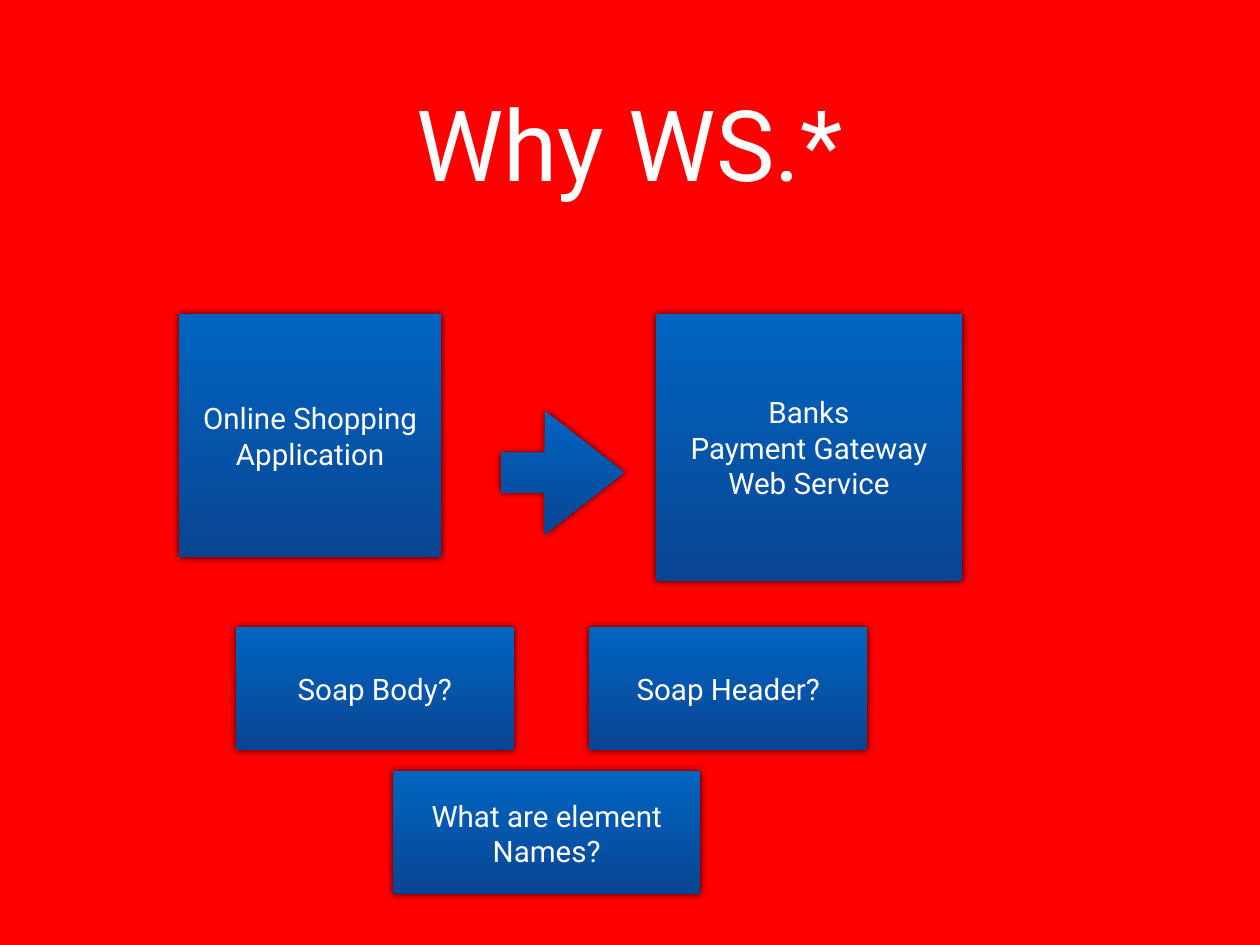
"""Build the slide "Why WS.*": a shop calling a payment service, with open questions."""
from dataclasses import dataclass

from lxml import etree
from pptx import Presentation
from pptx.dml.color import RGBColor
from pptx.enum.shapes import MSO_SHAPE
from pptx.enum.text import MSO_ANCHOR, PP_ALIGN
from pptx.oxml.ns import qn
from pptx.shapes.autoshape import Shape
from pptx.slide import Slide
from pptx.util import Inches, Pt

RECTANGLE = MSO_SHAPE.RECTANGLE
RIGHT_ARROW = MSO_SHAPE.RIGHT_ARROW
MIDDLE = MSO_ANCHOR.MIDDLE
CENTER = PP_ALIGN.CENTER

RED = RGBColor(0xFF, 0x00, 0x00)
WHITE = RGBColor(0xFF, 0xFF, 0xFF)
BLACK = RGBColor(0x00, 0x00, 0x00)
LIGHT_BLUE = RGBColor(0x00, 0x65, 0xC1)
DARK_BLUE = RGBColor(0x09, 0x45, 0x93)

FONT = "Roboto"
TITLE_SIZE = 80
BOX_SIZE = 24
INSET = 0.06
SHORT = 1.39
QUESTION_TOP = 7.08
QUESTION_WIDTH = 3.14
WIDE = 3.46


@dataclass(frozen=True)
class Box:
    """A labelled rectangle, measured in inches."""

    left: float
    top: float
    width: float
    height: float
    lines: tuple[str, ...]


BOXES = (
    Box(2.02, 3.55, 2.96, 2.74, ("Online Shopping Application",)),
    Box(7.4, 3.54, WIDE, 3.02, ("Banks", "Payment Gateway", "Web Service")),
    Box(2.66, QUESTION_TOP, QUESTION_WIDTH, SHORT, ("Soap Body?",)),
    Box(6.65, QUESTION_TOP, QUESTION_WIDTH, SHORT, ("Soap Header?",)),
    Box(4.44, 8.71, WIDE, SHORT, ("What are element Names?",)),
)
TITLE = Box(1.04, 0.44, 12.14, 2.32, ("Why WS.*",))
ARROW = Box(5.65, 4.64, SHORT, SHORT, ())


def bounds(box: Box) -> tuple[Inches, Inches, Inches, Inches]:
    """Return the position and size of a box as lengths."""
    return Inches(box.left), Inches(box.top), Inches(box.width), Inches(box.height)


def write_lines(shape: Shape, lines: tuple[str, ...], size: int) -> None:
    """Write centred white paragraphs into a shape."""
    frame = shape.text_frame
    frame.word_wrap = True
    frame.vertical_anchor = MIDDLE
    frame.margin_left = frame.margin_right = Inches(INSET)
    frame.margin_top = frame.margin_bottom = Inches(INSET)
    frame.text = "\n".join(lines)
    for paragraph in frame.paragraphs:
        paragraph.alignment = CENTER
        paragraph.font.name = FONT
        paragraph.font.size = Pt(size)
        paragraph.font.color.rgb = WHITE


def add_glow_shadow(shape: Shape) -> None:
    """Give a shape a soft black shadow on all sides."""
    shape.shadow.inherit = False
    effects = shape.element.spPr.find(qn("a:effectLst"))
    shadow = etree.SubElement(
        effects, qn("a:outerShdw"), blurRad=str(Pt(6)), dist="0",
        dir=str(315 * 60000), rotWithShape="0",
    )
    color = etree.SubElement(shadow, qn("a:srgbClr"), val=str(BLACK))
    etree.SubElement(color, qn("a:alpha"), val="80000")


def add_blue_shape(slide: Slide, kind: MSO_SHAPE, box: Box) -> Shape:
    """Add a preset shape with the blue gradient and shadow."""
    shape = slide.shapes.add_shape(kind, *bounds(box))
    shape.line.fill.background()
    shape.fill.gradient()
    shape.fill.gradient_angle = 270
    for stop, color in zip(shape.fill.gradient_stops, (LIGHT_BLUE, DARK_BLUE)):
        stop.color.rgb = color
    add_glow_shadow(shape)
    return shape


def main() -> None:
    """Build and save the presentation."""
    presentation = Presentation()
    presentation.slide_width = Inches(14.22)
    presentation.slide_height = Inches(10.67)
    slide = presentation.slides.add_slide(presentation.slide_layouts[6])
    slide.background.fill.solid()
    slide.background.fill.fore_color.rgb = RED

    write_lines(slide.shapes.add_textbox(*bounds(TITLE)), TITLE.lines, TITLE_SIZE)
    for box in BOXES:
        write_lines(add_blue_shape(slide, RECTANGLE, box), box.lines, BOX_SIZE)
    arrow = add_blue_shape(slide, RIGHT_ARROW, ARROW)
    arrow.adjustments[0] = 0.32
    arrow.adjustments[1] = 0.64

    presentation.save("out.pptx")


if __name__ == "__main__":
    main()
